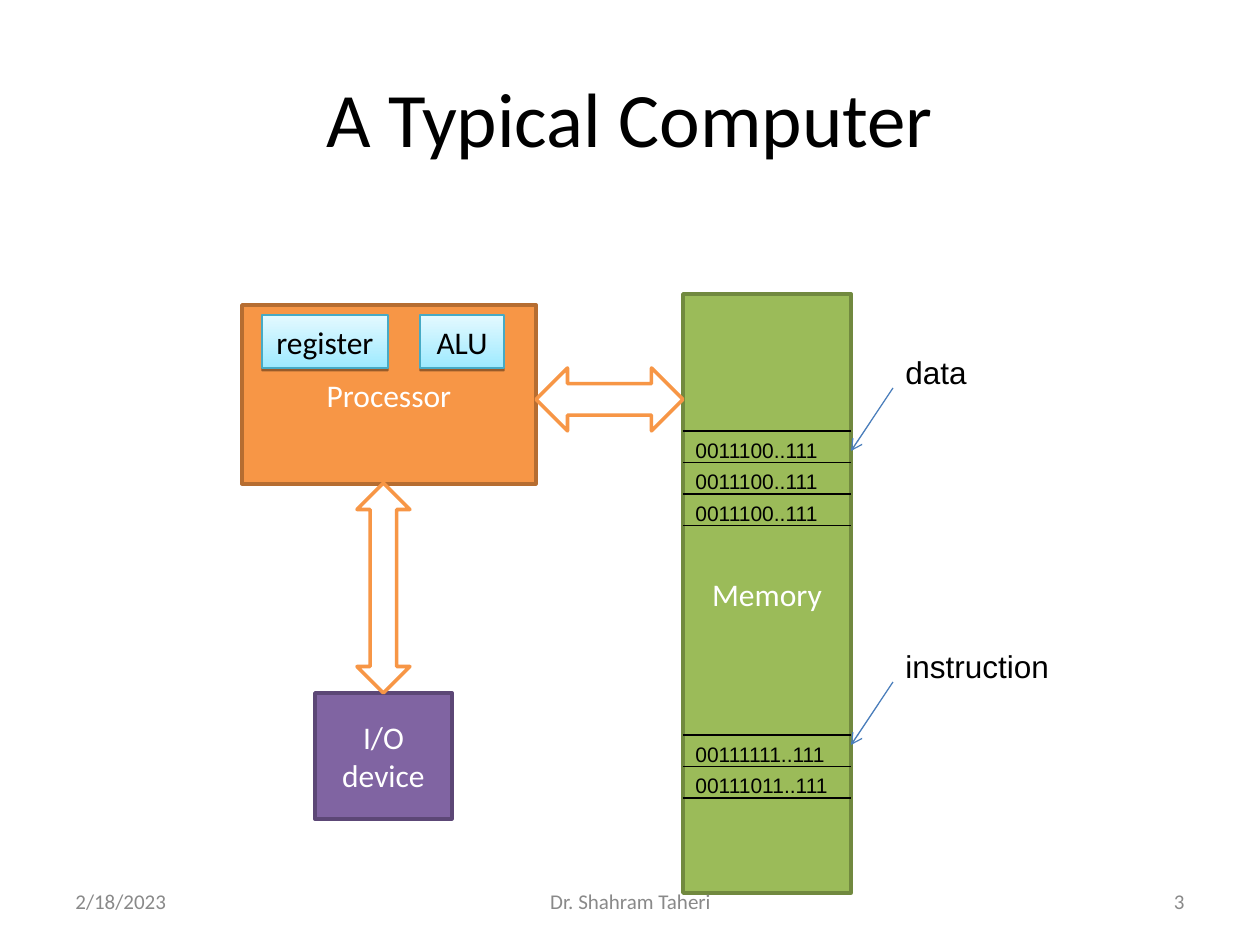
"""Build a slide showing the parts of a typical computer and how they connect."""
from lxml.etree import SubElement
from pptx import Presentation
from pptx.dml.color import RGBColor
from pptx.enum.shapes import MSO_CONNECTOR, MSO_SHAPE
from pptx.enum.text import MSO_ANCHOR, MSO_AUTO_SIZE, PP_ALIGN
from pptx.oxml.ns import qn
from pptx.util import Pt

PX = 914400 / 126
COLORS = {
    "black": "000000", "white": "FFFFFF", "grey": "898989", "blue": "4A7EBB",
    "orange": "F79646", "orange edge": "B66D31",
    "green": "9BBB59", "green edge": "71893F",
    "purple": "8064A2", "purple edge": "5C4776",
    "aqua": "9EEAFF", "pale aqua": "E4F9FF", "aqua edge": "46AAC5",
}
TITLE = ("A Typical Computer", (63, 38, 1134, 157))
UNITS = [
    ("Processor", (242, 305, 294, 179), "orange"),
    ("Memory", (683, 294, 168, 599), "green"),
    ("I/O device", (315, 693, 137, 126), "purple"),
]
BUSES = [
    (MSO_SHAPE.LEFT_RIGHT_ARROW, (536, 368, 147, 63)),
    (MSO_SHAPE.UP_DOWN_ARROW, (357, 483, 53, 210)),
]
PROCESSOR_PARTS = [("register", (262, 315, 126, 53)), ("ALU", (420, 315, 84, 53))]
MEMORY_LEFT, MEMORY_WIDTH, ROW_PITCH, ROW_HEIGHT = 683, 168, 31.5, 38
MEMORY_BLOCKS = [
    (431, ["0011100..111"] * 3, "data", (893, 347, 90, 50)),
    (735, ["00111111..111", "00111011..111"], "instruction", (893, 641, 172, 50)),
]
FOOTERS = [
    ("2/18/2023", (63, 876, 294, 50), PP_ALIGN.LEFT),
    ("Dr. Shahram Taheri", (431, 876, 399, 50), PP_ALIGN.CENTER),
    ("3", (903, 876, 294, 50), PP_ALIGN.RIGHT),
]


def emu(*lengths):
    return [round(length * PX) for length in lengths]


def rgb(name):
    return RGBColor.from_string(COLORS[name])


def write(shape, text, size, color, font="Calibri", align=PP_ALIGN.CENTER, **frame_format):
    frame = shape.text_frame
    settings = {"word_wrap": True, "vertical_anchor": MSO_ANCHOR.MIDDLE, **frame_format}
    for name, value in settings.items():
        setattr(frame, name, value)
    paragraph = frame.paragraphs[0]
    paragraph.alignment = align
    run = paragraph.add_run()
    run.text = text
    for name, value in {"name": font, "size": Pt(size)}.items():
        setattr(run.font, name, value)
    run.font.color.rgb = rgb(color)


def add_box(slide, kind, box, fill, edge, width=2):
    shape = slide.shapes.add_shape(kind, *emu(*box))
    shape.shadow.inherit = False
    shape.fill.solid()
    shape.fill.fore_color.rgb = rgb(fill)
    shape.line.color.rgb = rgb(edge)
    shape.line.width = Pt(width)
    return shape


def add_line(slide, start, end, color, arrow=False):
    line = slide.shapes.add_connector(MSO_CONNECTOR.STRAIGHT, *emu(*start, *end))
    line.line.color.rgb = rgb(color)
    line.line.width = Pt(0.75)
    properties = line.element.spPr
    if arrow:
        SubElement(properties.find(qn("a:ln")), qn("a:tailEnd"), type="arrow")
    SubElement(properties, qn("a:effectLst"))


def add_label(slide, text, box, size, **frame_format):
    label = slide.shapes.add_textbox(*emu(*box))
    write(label, text, size, "black", "Arial", PP_ALIGN.LEFT, vertical_anchor=MSO_ANCHOR.TOP,
          auto_size=MSO_AUTO_SIZE.SHAPE_TO_FIT_TEXT, **frame_format)


def add_processor_part(slide, text, box):
    shape = add_box(slide, MSO_SHAPE.RECTANGLE, box, "aqua", "aqua edge", 0.75)
    shape.fill.gradient()
    shape.fill.gradient_angle = 90
    for stop, color in zip(shape.fill.gradient_stops, ("aqua", "pale aqua")):
        stop.color.rgb = rgb(color)
    effects = shape.element.spPr.find(qn("a:effectLst"))
    shadow = SubElement(effects, qn("a:outerShdw"), blurRad="0", dist=str(Pt(1.6)),
                        dir="5400000", rotWithShape="0")
    shade = SubElement(shadow, qn("a:srgbClr"), val=COLORS["black"])
    SubElement(shade, qn("a:alpha"), val="38000")
    write(shape, text, 18, "black")


def add_memory_block(slide, top, rows, name, name_box):
    right = MEMORY_LEFT + MEMORY_WIDTH
    for index in range(len(rows) + 1):
        y = top + index * ROW_PITCH
        add_line(slide, (MEMORY_LEFT, y), (right, y), "black")
    for index, bits in enumerate(rows):
        y = top + index * ROW_PITCH
        add_label(slide, bits, (MEMORY_LEFT, y, MEMORY_WIDTH, ROW_HEIGHT), 12)
    name_left, name_top = name_box[:2]
    add_line(slide, (name_left, name_top + 41), (right, name_top + 104), "blue", arrow=True)
    add_label(slide, name, name_box, 18, word_wrap=False)


def main():
    presentation = Presentation()
    presentation.slide_width, presentation.slide_height = emu(1260, 945)
    slide = presentation.slides.add_slide(presentation.slide_layouts[5])

    text, box = TITLE
    title = slide.shapes.title
    title.left, title.top, title.width, title.height = emu(*box)
    write(title, text, 44, "black")

    for text, box, color in UNITS:
        unit = add_box(slide, MSO_SHAPE.RECTANGLE, box, color, f"{color} edge")
        write(unit, text, 18, "white")
    for kind, box in BUSES:
        add_box(slide, kind, box, "white", "orange")
    for block in MEMORY_BLOCKS:
        add_memory_block(slide, *block)
    for text, box in PROCESSOR_PARTS:
        add_processor_part(slide, text, box)
    for text, box, align in FOOTERS:
        write(slide.shapes.add_textbox(*emu(*box)), text, 12, "grey", align=align)

    presentation.save("out.pptx")


if __name__ == "__main__":
    main()
